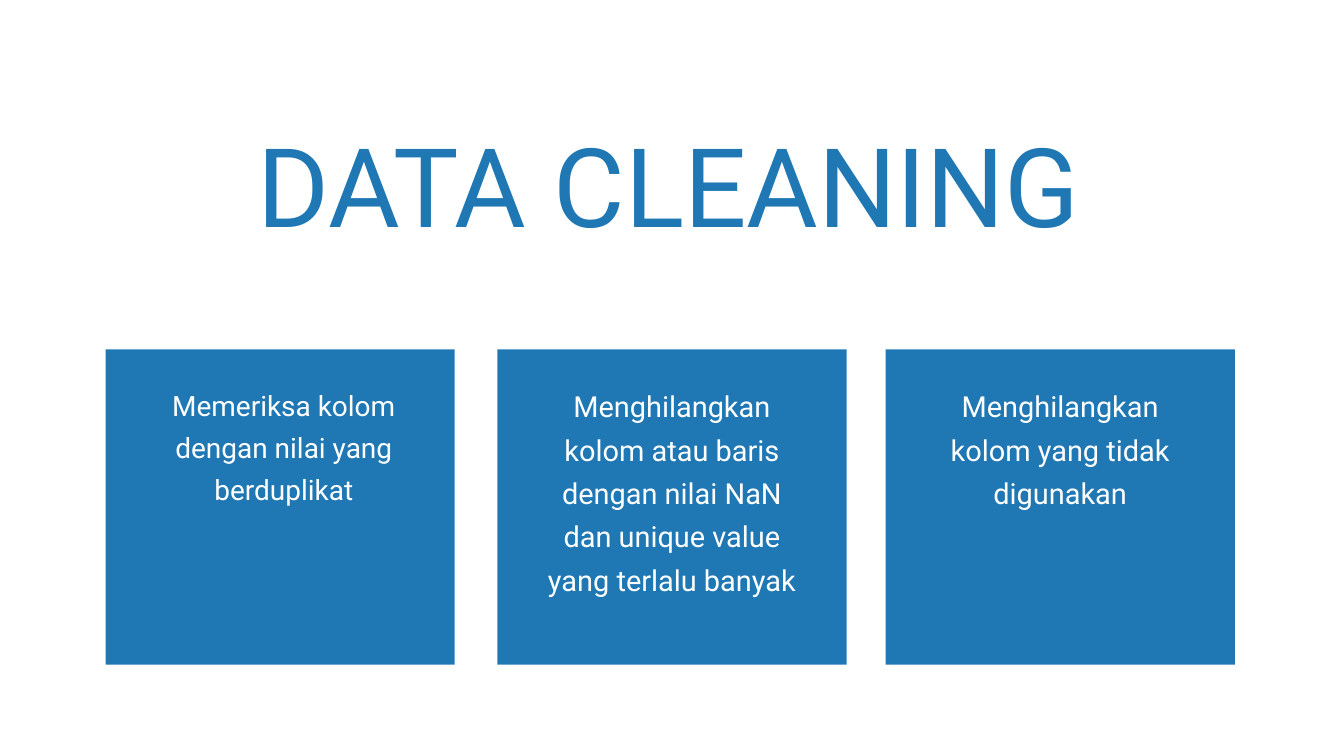
from pptx import Presentation
from pptx import util as u
from pptx.dml.color import RGBColor
from pptx.enum import shapes, text

BLUE = RGBColor(0x1F, 0x77, 0xB4)
WHITE = RGBColor(0xFF, 0xFF, 0xFF)
TITLE_ONLY = 5
CARD_TOP, CARD_WIDTH, CARD_HEIGHT = 13.21, 13.2, 11.92
CAPTION_TOP = 14.37

CARDS = [
    (3.99, 6.02, 9.42, 4.6, 30, "Memeriksa kolom dengan nilai yang berduplikat"),
    (18.8, 20.24, 10.31, 9.63, 31,
     "Menghilangkan kolom atau baris dengan nilai NaN dan unique value yang terlalu banyak"),
    (33.48, 35.36, 9.42, 4.78, 31, "Menghilangkan kolom yang tidak digunakan"),
]


class CleaningSlide:
    """Holds the font and the current slide, and draws its parts in centimetres."""

    font = "Roboto"

    def __init__(self, deck):
        self.slide = deck.slides.add_slide(deck.slide_layouts[TITLE_ONLY])

    def set_wording(self, holder, wording, size, spacing, color):
        frame = holder.text_frame
        frame.text = wording
        frame.word_wrap = True
        frame.auto_size = text.MSO_AUTO_SIZE.NONE
        frame.vertical_anchor = text.MSO_ANCHOR.TOP
        frame.margin_left = frame.margin_right = 0
        frame.margin_top = frame.margin_bottom = 0
        line = frame.paragraphs[0]
        line.alignment = text.PP_ALIGN.CENTER
        line.line_spacing = u.Pt(spacing)
        line.space_before = u.Pt(0)
        font = line.runs[0].font
        font.name = self.font
        font.size = u.Pt(size)
        font.color.rgb = color

    def title(self, wording, left, top, width, height):
        heading = self.slide.shapes.title
        heading.left, heading.top = u.Cm(left), u.Cm(top)
        heading.width, heading.height = u.Cm(width), u.Cm(height)
        self.set_wording(heading, wording, 117.7, 164.8, BLUE)

    def card(self, left):
        panel = self.slide.shapes.add_shape(
            shapes.MSO_SHAPE.RECTANGLE,
            u.Cm(left), u.Cm(CARD_TOP), u.Cm(CARD_WIDTH), u.Cm(CARD_HEIGHT))
        panel.shadow.inherit = False
        panel.fill.solid()
        panel.fill.fore_color.rgb = BLUE
        panel.line.fill.background()

    def caption(self, wording, left, width, height, size):
        step = self.slide.shapes.add_textbox(
            u.Cm(left), u.Cm(CAPTION_TOP), u.Cm(width), u.Cm(height))
        self.set_wording(step, wording, size, size * 1.5, WHITE)


def main():
    deck = Presentation()
    deck.slide_width, deck.slide_height = u.Cm(50.8), u.Cm(28.58)
    cleaning = CleaningSlide(deck)
    cleaning.title("DATA CLEANING", 6.78, 3.61, 37.01, 5.56)
    for card_left, left, width, height, size, wording in CARDS:
        cleaning.card(card_left)
        cleaning.caption(wording, left, width, height, size)
    deck.save("out.pptx")


if __name__ == "__main__":
    main()
